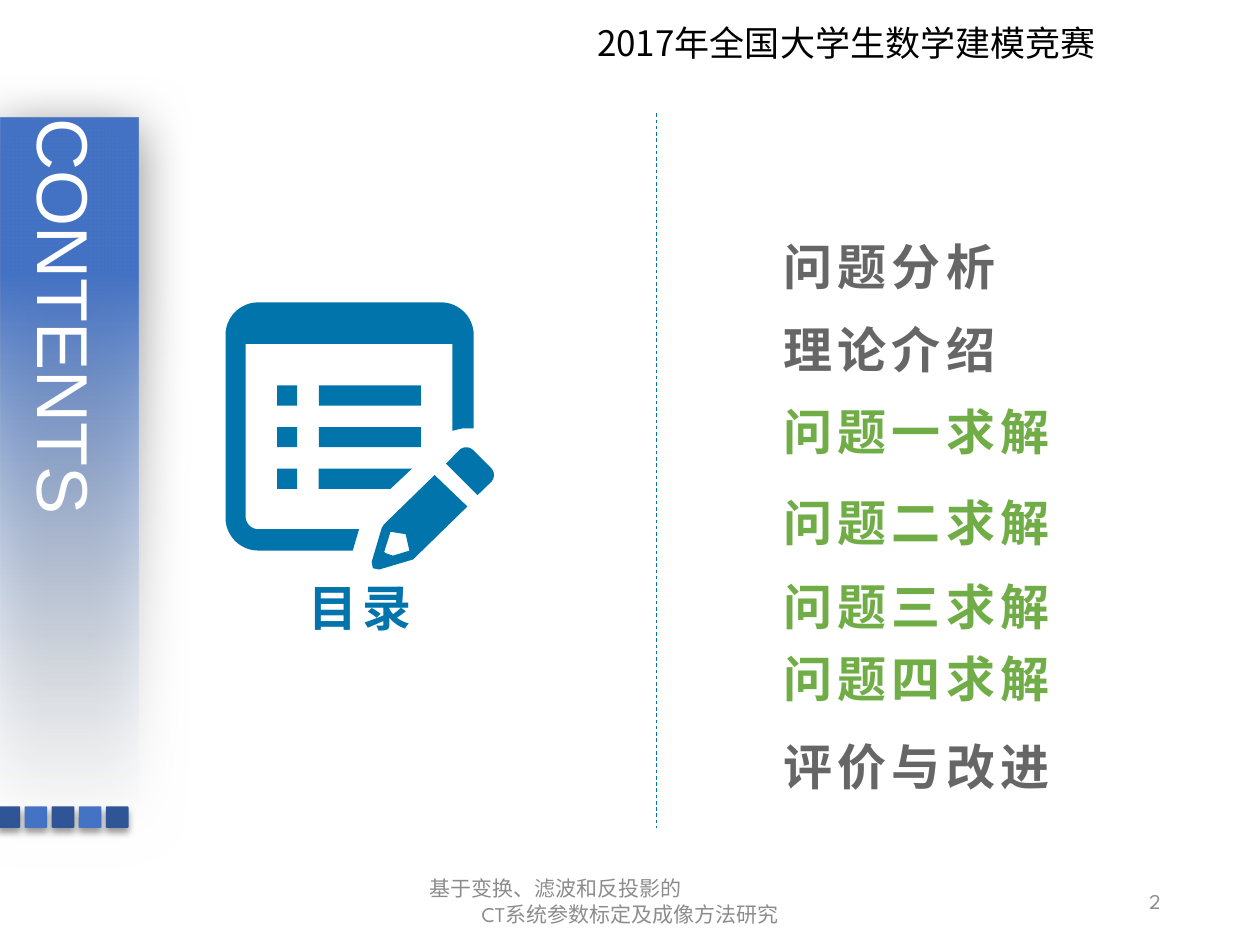
from math import cos, radians, sin
from lxml.etree import SubElement
from pptx import Presentation
from pptx.dml.color import RGBColor
from pptx.enum.dml import MSO_LINE
from pptx.enum.shapes import MSO_CONNECTOR, MSO_SHAPE
from pptx.enum.text import MSO_ANCHOR, MSO_AUTO_SIZE, PP_ALIGN
from pptx.oxml.ns import qn
from pptx.util import Inches, Pt

INK = {"blue": "4472C4", "navy": "2F5597", "pale": "F7FAFD", "teal": "0174AB",
       "gray": "666666", "green": "70AD47", "mute": "8C8C8C",
       "white": "FFFFFF", "black": "000000"}
CJK = "Noto Sans CJK SC"
HEAD = {"name": CJK, "size": Pt(20)}
ITEM = {"name": CJK, "size": Pt(28), "bold": True}
SIDE = {"name": "Arial", "size": Pt(41.2)}
FOOT = {"name": "League Spartan", "size": Pt(12)}
GROW = {"word_wrap": True, "auto_size": MSO_AUTO_SIZE.SHAPE_TO_FIT_TEXT,
        "vertical_anchor": MSO_ANCHOR.TOP}
MID = {"word_wrap": True, "auto_size": MSO_AUTO_SIZE.NONE,
       "vertical_anchor": MSO_ANCHOR.MIDDLE}
ITEMS = [("问题分析", 0, "gray"), ("理论介绍", 0.66, "gray"),
         ("问题一求解", 1.31, "green"), ("问题二求解", 2.03, "green"),
         ("问题三求解", 2.7, "green"), ("问题四求解", 3.27, "green"),
         ("评价与改进", 3.97, "gray")]


def color(key):
    return RGBColor.from_string(INK[key])


def apply(obj, form):
    for key, val in form.items():
        setattr(obj, key, val)


def write(par, text, font, ink, gap=0):
    """Add one run; gap is the letter spacing in points."""
    run = par.add_run()
    run.text = text
    apply(run.font, font)
    run.font.color.rgb = color(ink)
    props = run.font._element
    SubElement(props, qn("a:ea")).set("typeface", font["name"])
    if gap:
        props.set("spc", str(gap * 100))


def label(shapes, box, text, font, ink, gap=0, frame=GROW, align=PP_ALIGN.LEFT):
    area = shapes.add_textbox(*map(Inches, box)).text_frame
    apply(area, frame)
    area.paragraphs[0].alignment = align
    write(area.paragraphs[0], text, font, ink, gap)
    return area


def paint(shape, ink):
    shape.fill.solid()
    shape.fill.fore_color.rgb = color(ink)
    shape.line.fill.background()
    shape.shadow.inherit = False


def shade(shape, alpha, blur, dist, angle):
    shape.shadow.inherit = False
    effects = shape._element.spPr.find(qn("a:effectLst"))
    outer = SubElement(effects, qn("a:outerShdw"), blurRad=str(Pt(blur)),
                       dist=str(Pt(dist)), dir=str(angle * 60000),
                       algn="ctr", rotWithShape="0")
    tone = SubElement(outer, qn("a:srgbClr"), val=INK["black"])
    SubElement(tone, qn("a:alpha"), val=str(alpha * 1000))


def banner(shapes, left, top, width, height):
    """Side bar: a rectangle turned a quarter, fading out downwards."""
    bar = shapes.add_shape(
        MSO_SHAPE.RECTANGLE, Inches(left + (width - height) / 2),
        Inches(top + (height - width) / 2), Inches(height), Inches(width))
    bar.rotation = 90
    bar.line.fill.background()
    bar.fill.gradient()
    bar.fill.gradient_angle = 180
    for stop, spot, ink in zip(bar.fill.gradient_stops, (0, 0.78), ("pale", "blue")):
        stop.position = spot
        stop.color.rgb = color(ink)
    clear = next(bar._element.spPr.iter(qn("a:srgbClr")))
    SubElement(clear, qn("a:alpha"), val="0")
    shade(bar, 50, 31, 6, 97)
    area = label(shapes, (left + 0.1, top - 0.03, 0.84, 3.71), "CONTENTS", SIDE, "white")
    apply(area, {"margin_left": Inches(0.07), "margin_right": Inches(0.07),
                 "margin_top": Inches(0.04), "margin_bottom": Inches(0.04)})
    area._txBody.bodyPr.set("vert", "eaVert")


def tiles(shapes, left, top, width, size, count=5):
    group = shapes.add_group_shape().shapes
    step = (width - size) / (count - 1)
    for i in range(count):
        tile = group.add_shape(MSO_SHAPE.ROUNDED_RECTANGLE, Inches(left + i * step),
                               Inches(top), Inches(size), Inches(0.17))
        tile.adjustments[0] = 0.05
        paint(tile, "blue" if i % 2 else "navy")
        shade(tile, 40, 4, 3, 90)


def arc(x, y, r, start, end, steps=12):
    """Points on a circle, angles in degrees, clockwise from the right."""
    turns = [radians(start + (end - start) * i / steps) for i in range(steps + 1)]
    return [(x + r * cos(t), y + r * sin(t)) for t in turns]


def icon(shapes, left, top):
    """Notepad with a three-line list and a pencil."""
    group = shapes.add_group_shape().shapes

    def draw(*rings):
        rings = [[(Inches(left + x), Inches(top + y)) for x, y in ring] for ring in rings]
        pen = group.build_freeform(*rings[0][0], scale=1.0)
        pen.add_line_segments(rings[0][1:])
        for ring in rings[1:]:
            pen.move_to(*ring[0])
            pen.add_line_segments(ring[1:])
        paint(pen.convert_to_shape(), "teal")

    def block(x, y, width):
        paint(group.add_shape(MSO_SHAPE.RECTANGLE, Inches(left + x), Inches(top + y),
                              Inches(width), Inches(0.16)), "teal")

    draw([(1.06, 1.8), (1.01, 1.97), *arc(0.26, 1.71, 0.26, 90, 180),
          *arc(0.26, 0.26, 0.26, 180, 270), *arc(1.71, 0.26, 0.26, 270, 360),
          (1.97, 1), (1.88, 1), (1.8, 1.02), (1.8, 0.33), (0.16, 0.33),
          *arc(0.26, 1.7, 0.1, 180, 90)])
    for i in range(3):
        y = 0.66 + 0.33 * i
        block(0.41, y, 0.16)
        if i < 2:
            block(0.74, y, 0.81)
    draw([(0.74, 1.32), (1.48, 1.32), (1.31, 1.48), (0.74, 1.48)])
    draw([(1.66, 1.37), (1.92, 1.62), (1.52, 2.01), (1.49, 2.04), (1.22, 2.12),
          (1.17, 2.11), (1.16, 2.06), (1.24, 1.79), (1.26, 1.76)],
         [(1.31, 1.82), (1.43, 1.84), (1.46, 1.97), (1.33, 2.01), (1.27, 1.99),
          (1.26, 1.98)])
    draw([(1.75, 1.28), *arc(1.91, 1.23, 0.08, 225, 315),
          *arc(2.05, 1.37, 0.08, -45, 45), (2, 1.53)])


def title(shape, box):
    apply(shape, dict(zip(("left", "top", "width", "height"), map(Inches, box))))
    apply(shape.text_frame, GROW)
    par = shape.text_frame.paragraphs[0]
    par.alignment = PP_ALIGN.CENTER
    write(par, "目录", ITEM, "teal", 3)


def agenda(shapes, left, top, width):
    for text, drop, ink in ITEMS:
        label(shapes, (left, top + drop, width, 0.57), text, ITEM, ink, 3)


def rule(shapes, x, top, bottom):
    line = shapes.add_connector(MSO_CONNECTOR.STRAIGHT, Inches(x), Inches(top),
                                Inches(x), Inches(bottom))
    line.line.color.rgb = color("teal")
    apply(line.line, {"width": Pt(0.5), "dash_style": MSO_LINE.DASH})
    SubElement(line._element.spPr, qn("a:effectLst"))


def footer(shapes, top, height):
    area = label(shapes, (3.31, top, 3.38, height), "基于变换、滤波和反投影的",
                 FOOT, "mute", frame=MID)
    par = area.add_paragraph()
    par.alignment = PP_ALIGN.CENTER
    write(par, "CT系统参数标定及成像方法研究", FOOT, "mute")
    for par in area.paragraphs:
        par.line_spacing = Pt(15)
    label(shapes, (7.06, top, 2.25, height), "2", FOOT, "mute",
          frame=MID, align=PP_ALIGN.RIGHT)


def main():
    deck = Presentation()
    apply(deck, {"slide_width": Inches(10), "slide_height": Inches(7.5)})
    shapes = deck.slides.add_slide(deck.slide_layouts[5]).shapes
    banner(shapes, 0, 0.93, 1.1, 5.59)
    tiles(shapes, -0.02, 6.4, 1.04, 0.18)
    label(shapes, (4.64, 0.12, 4.28, 0.44), "2017年全国大学生数学建模竞赛", HEAD, "black")
    rule(shapes, 5.21, 0.9, 6.57)
    icon(shapes, 1.79, 2.4)
    title(shapes.title, (1.4, 4.53, 2.91, 0.57))
    agenda(shapes, 6.12, 1.83, 3.2)
    footer(shapes, 6.95, 0.4)
    deck.save("out.pptx")


if __name__ == "__main__":
    main()
